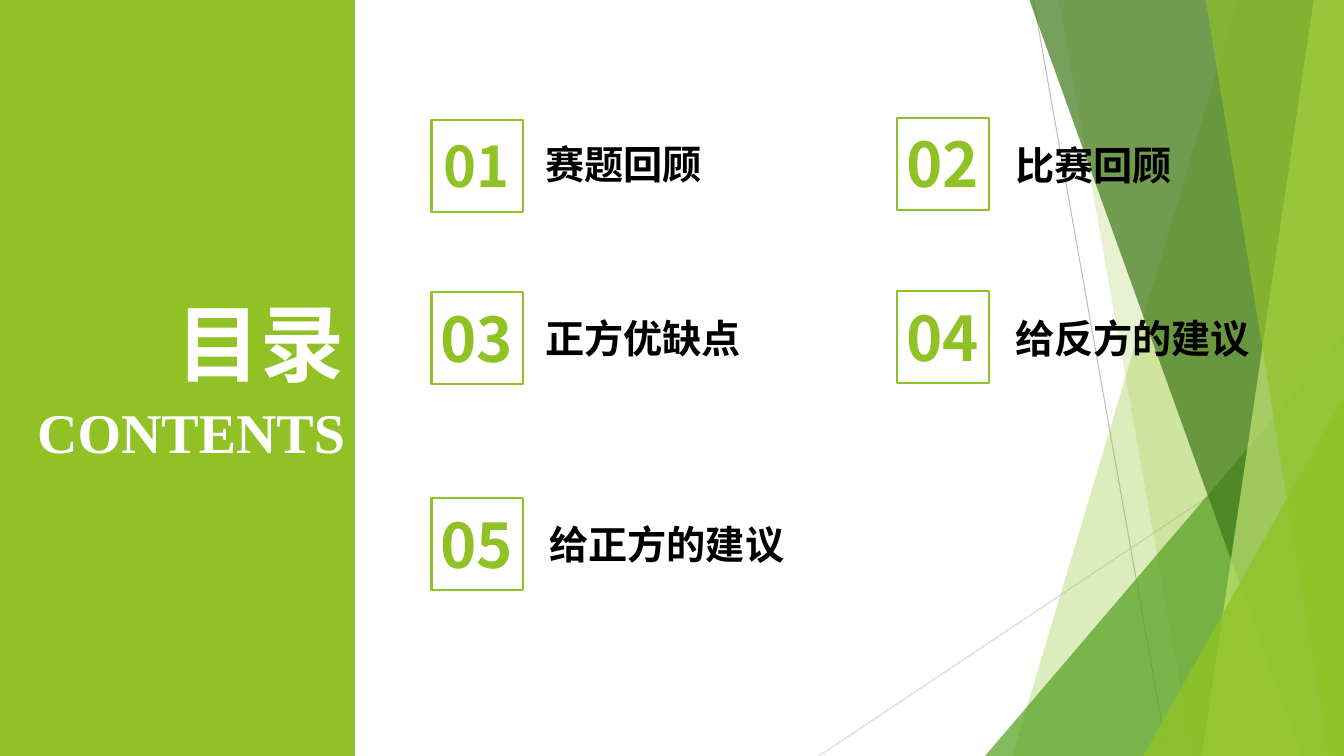
"""Build a contents slide with a green side panel and translucent facets."""
from lxml import etree
from pptx import Presentation
from pptx.dml.color import RGBColor
from pptx.enum.shapes import MSO_CONNECTOR, MSO_SHAPE
from pptx.enum.text import MSO_AUTO_SIZE, PP_ALIGN
from pptx.oxml.ns import qn
from pptx.util import Inches, Pt

LINE = MSO_CONNECTOR.STRAIGHT
RECT, TRI = MSO_SHAPE.RECTANGLE, MSO_SHAPE.ISOSCELES_TRIANGLE
LEFT, MID, RIGHT = PP_ALIGN.LEFT, PP_ALIGN.CENTER, PP_ALIGN.RIGHT
GROW = MSO_AUTO_SIZE.SHAPE_TO_FIT_TEXT
GREEN = RGBColor(0x90, 0xC2, 0x26)
GRASS = RGBColor(0x54, 0xA0, 0x21)
FOREST = RGBColor(0x3F, 0x78, 0x19)
LIME = RGBColor(0xC0, 0xE4, 0x74)
WHITE = RGBColor(255, 255, 255)
BLACK = RGBColor(0, 0, 0)
GRAY = RGBColor(0xBF, 0xBF, 0xBF)
PALE = RGBColor(0xD9, 0xD9, 0xD9)
SANS, SERIF = "Noto Sans CJK SC", "Times New Roman"
WIDE, HIGH = 13.33, 7.5
SIDE, BOX = 3.52, 0.91
COLS = (4.28, 8.9)

RAYS = [(10.25, 0, 11.58, HIGH, GRAY), (WIDE, 4.03, 8.12, HIGH, PALE)]
# kind, then top and bottom x of a band, or left and top of a wedge
FACETS = [
    ("band", 12.28, 10.04, GREEN, 30),
    ("band", 10.5, 11.83, GREEN, 20),
    ("wedge", 9.77, 3.33, GRASS, 72),
    ("band", 10.21, 12.91, FOREST, 70),
    ("band", 13.03, 11.92, LIME, 70),
    ("band", 11.96, 13.18, GREEN, 65),
    ("wedge", 11.34, 3.93, GREEN, 80),
]
TITLES = [("目录", 0.98, 2.84, 1.11, 60, SANS),
          ("CONTENTS", 0, 3.89, 0.77, 40, SERIF)]
# label, column, box top, label offset, number size, number height
ITEMS = [
    ("赛题回顾", 0, 1.19, (1.03, 0.15), 40, 0.77),
    ("比赛回顾", 1, 1.17, (1.07, 0.18), 44, 0.84),
    ("正方优缺点", 0, 2.9, (1.03, 0.17), 44, 0.84),
    ("给反方的建议", 1, 2.89, (1.07, 0.18), 44, 0.84),
    ("给正方的建议", 0, 4.94, (1.07, 0.17), 44, 0.84),
]

deck = Presentation()
deck.slide_width, deck.slide_height = Inches(WIDE), Inches(HIGH)
shapes = deck.slides.add_slide(deck.slide_layouts[6]).shapes


def paint(shape, color, alpha=100):
    shape.shadow.inherit = False
    shape.line.fill.background()
    shape.fill.solid()
    shape.fill.fore_color.rgb = color
    if alpha < 100:
        tone = shape.fill._xPr.find(qn("a:solidFill"))[0]
        etree.SubElement(tone, qn("a:alpha"), val=str(alpha * 1000))


def add(kind, *place):
    return shapes.add_shape(kind, *map(Inches, place))


def write(text, place, size, color, align=LEFT, face=SANS):
    frame = shapes.add_textbox(*map(Inches, place)).text_frame
    frame.word_wrap, frame.auto_size = True, GROW
    para = frame.paragraphs[0]
    para.text, para.alignment = text, align
    font = para.font
    font.size, font.bold, font.name = Pt(size), True, face
    font.color.rgb = color
    props = para._p.pPr.find(qn("a:defRPr"))
    etree.SubElement(props, qn("a:ea"), typeface=face)


for *ends, color in RAYS:
    ray = shapes.add_connector(LINE, *map(Inches, ends))
    ray.line.color.rgb, ray.line.width = color, Pt(0.75)
    etree.SubElement(ray._element.spPr, qn("a:effectLst"))

for kind, one, two, color, alpha in FACETS:
    if kind == "band":
        pen = shapes.build_freeform(Inches(one), 0)
        pen.add_line_segments([(Inches(x), Inches(y)) for x, y in
                               ((WIDE, 0), (WIDE, HIGH), (two, HIGH))])
        facet = pen.convert_to_shape()
    else:
        facet = add(TRI, one, two, WIDE - one, HIGH - two)
        facet.adjustments[0] = 1
    paint(facet, color, alpha)

paint(add(RECT, 0, 0, SIDE, HIGH), GREEN)
for text, left, top, high, size, face in TITLES:
    write(text, (left, top, SIDE - left, high), size, WHITE, RIGHT, face)

for num, (text, col, top, (dx, dy), size, high) in enumerate(ITEMS, 1):
    left = COLS[col]
    write(text, (left + dx, top + dy, 2.62, 0.57), 28, BLACK)
    write(f"{num:02}", (left - 0.04, top + (BOX - high) / 2, 0.98, high),
          size, GREEN, MID)
    box = add(RECT, left, top, BOX, BOX)
    box.shadow.inherit = False
    box.fill.background()
    box.line.color.rgb, box.line.width = GREEN, Pt(1.5)

deck.save("out.pptx")
